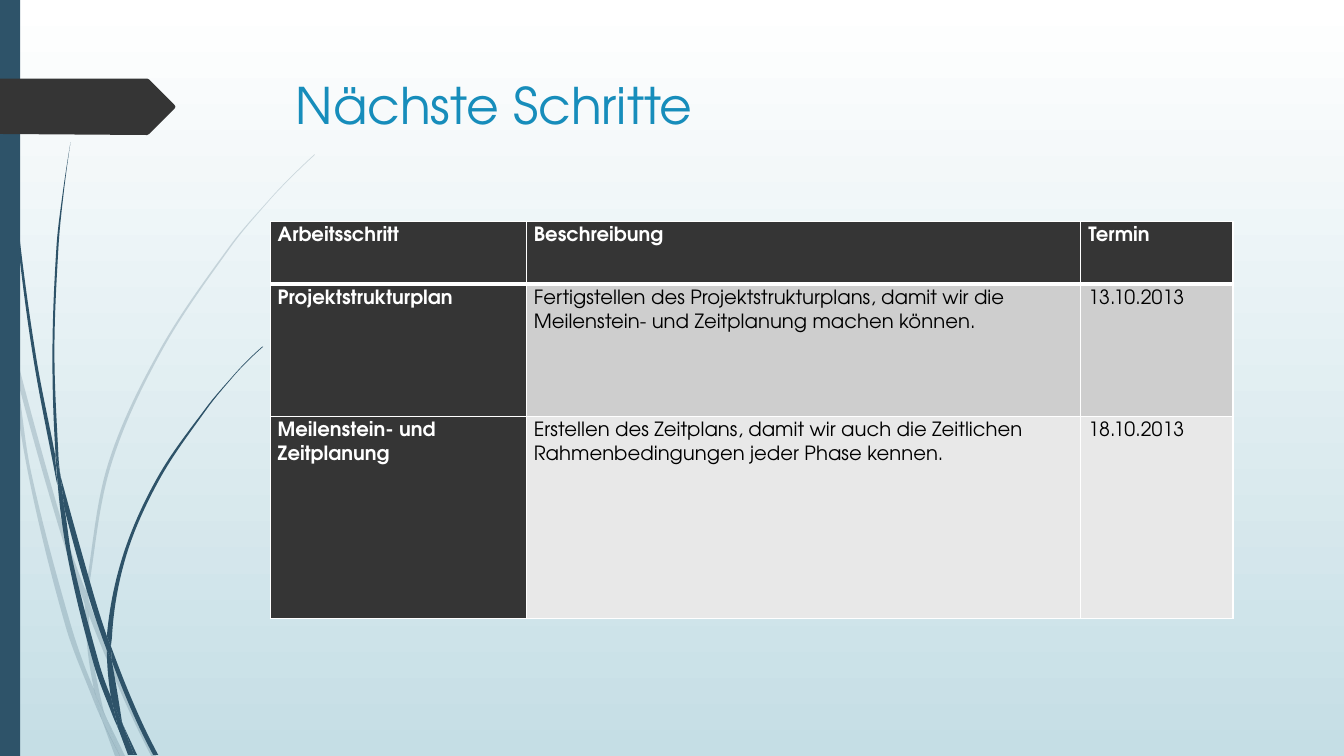
from math import hypot

from lxml.etree import SubElement
from pptx import Presentation
from pptx.dml.color import RGBColor as Rgb
from pptx.enum.shapes import MSO_SHAPE as Shape
from pptx.enum.text import MSO_ANCHOR as Anchor
from pptx.oxml import parse_xml
from pptx.oxml.ns import nsdecls, qn
from pptx.util import Inches, Pt

FONT = "TeX Gyre Adventor"
WHITE = Rgb(0xFF, 0xFF, 0xFF)
BLACK = Rgb(0, 0, 0)
MIST = Rgb(0xC5, 0xDE, 0xE5)
NAVY = Rgb(0x2E, 0x53, 0x69)
DARK = Rgb(0x35, 0x35, 0x35)
BLUE = Rgb(0x17, 0x8D, 0xBB)
GREY = Rgb(0xCE, 0xCE, 0xCE)
PALE = Rgb(0xE8, 0xE8, 0xE8)

PALE_FAN = [
    ([(0.11, 3.5), (0.09, 3.22), (0, 2.82)], [(0, 2.99), (0.1, 3.44)]),
    ([(0.17, 3.76), (0.58, 5.22), (0.84, 5.99)],
     [(0.85, 5.86), (0.62, 5.2), (0.14, 3.45)]),
    ([(0.88, 5.96), (0.88, 6.1)], [(0.88, 6.1), (1.23, 6.94), (1.5, 7.5)],
     [(1.55, 7.5), (1.27, 6.92), (0.92, 6.07)]),
    ([(1.05, 7.11), (1.19, 7.5)], [(1.24, 7.5)]),
    ([(0.93, 6.83), (0.7, 6.19), (0.31, 4.69), (0.17, 3.76), (0.11, 3.5)],
     [(0.11, 3.5), (0.28, 4.7), (0.65, 6.21), (0.92, 6.93), (1.01, 7.14)],
     [(0.99, 7.07)]),
    ([(0.84, 5.99), (0.87, 6.46), (0.93, 6.83), (0.96, 6.92), (1.05, 7.11)],
     [(1.03, 7.06), (0.91, 6.46), (0.88, 6.1), (0.88, 6.08)]),
    ([(0.88, 5.96), (0.88, 5.84), (1.1, 4.62), (1.6, 3.49), (2.29, 2.45),
      (2.68, 1.98), (2.9, 1.75), (3.12, 1.54)],
     [(3.12, 1.53), (2.89, 1.75), (2.68, 1.97), (2.28, 2.44), (1.58, 3.48),
      (1.07, 4.61), (0.85, 5.84), (0.85, 5.86)]),
    ([(1.01, 7.14), (1.14, 7.5)], [(1.19, 7.5)]),
    ([(0.88, 6.08), (0.88, 6.1)], [(0.88, 5.96)], [(0.85, 5.86)],
     [(0.84, 5.99)]),
    ([(0.96, 6.92), (0.93, 6.83)], [(0.99, 7.07), (1.01, 7.14), (1.19, 7.5)],
     [(1.05, 7.11)]),
]
DARK_FAN = [
    ([(0.03, 0), (0.04, 0.48), (0.07, 1.1), (0.17, 2.33), (0.33, 3.55),
      (0.56, 4.77), (0.57, 4.81)],
     [(0.55, 4.57), (0.55, 4.53), (0.36, 3.55), (0.19, 2.32), (0.08, 1.09),
      (0.05, 0.48), (0.04, 0)]),
    ([(0.64, 5.05), (0.88, 5.92), (1.06, 6.45)],
     [(1.06, 6.33), (1.06, 6.31)],
     [(1.06, 6.31), (0.93, 5.9), (0.6, 4.72)]),
    ([(1.1, 6.41), (1.11, 6.56)], [(1.11, 6.56), (1.32, 7.08), (1.52, 7.49)],
     [(1.57, 7.49), (1.36, 7.06), (1.13, 6.49)]),
    ([(1.1, 6.91), (0.98, 6.57), (0.72, 5.56), (0.64, 5.05), (0.57, 4.77)],
     [(0.57, 4.77), (0.68, 5.57), (0.93, 6.59), (1.11, 7.08), (1.17, 7.22)],
     [(1.16, 7.17)]),
    ([(0.6, 4.72), (0.58, 4.53), (0.54, 3.49), (0.58, 2.45), (0.63, 1.93),
      (0.7, 1.41)],
     [(0.7, 1.41), (0.62, 1.93), (0.56, 2.45), (0.52, 3.49), (0.55, 4.49)]),
    ([(1.22, 7.19), (1.33, 7.49)], [(1.36, 7.49)]),
    ([(0.57, 4.77), (0.64, 5.05)], [(0.6, 4.72), (0.55, 4.49)],
     [(0.55, 4.53)]),
    ([(1.11, 6.33), (1.25, 5.52), (1.58, 4.76), (2.05, 4.06), (2.31, 3.74),
      (2.45, 3.59), (2.61, 3.44)],
     [(2.6, 3.44), (2.45, 3.58), (2.31, 3.73), (2.04, 4.05), (1.56, 4.74),
      (1.22, 5.51), (1.06, 6.31)], [(1.1, 6.41)]),
    ([(1.17, 7.22), (1.27, 7.49)], [(1.31, 7.49)]),
    ([(1.06, 6.45), (1.1, 6.91), (1.16, 7.06), (1.22, 7.19)],
     [(1.21, 7.16), (1.11, 6.56), (1.09, 6.51)]),
    ([(1.06, 6.45), (1.09, 6.51), (1.11, 6.56)],
     [(1.1, 6.41), (1.06, 6.31)], [(1.06, 6.33)]),
    ([(1.16, 7.06), (1.1, 6.91)], [(1.16, 7.17), (1.17, 7.22), (1.3, 7.49)],
     [(1.33, 7.49), (1.22, 7.19)]),
]
ARROW = [(1.74, 0.28), (1.73, 0.3), (1.48, 0.55), (1.46, 0.56), (0, 0.55),
         (0, 0), (1.46, 0), (1.48, 0.01), (1.73, 0.26)]
ROWS = [
    ("Arbeitsschritt", "Beschreibung", "Termin"),
    ("Projektstrukturplan",
     "Fertigstellen des Projektstrukturplans, damit wir die "
     "Meilenstein- und Zeitplanung machen können.", "13.10.2013"),
    ("Meilenstein- und Zeitplanung",
     "Erstellen des Zeitplans, damit wir auch die Zeitlichen "
     "Rahmenbedingungen jeder Phase kennen.", "18.10.2013"),
]
WIDTHS = 2.54, 5.5, 1.51
HEIGHTS = 0.62, 1.31, 2.01
FILLS = DARK, GREY, PALE


def unit(a, b):
    """Return the direction from a to b."""
    size = hypot(b[0] - a[0], b[1] - a[1]) or 1
    return (b[0] - a[0]) / size, (b[1] - a[1]) / size


def mirror(way, chord):
    """Reflect a direction about a chord."""
    dot = 2 * (way[0] * chord[0] + way[1] * chord[1])
    return dot * chord[0] - way[0], dot * chord[1] - way[1]


def bends(knots):
    """Return the two curve handles of each span, as offsets."""
    if len(knots) < 2:
        return []
    ways = [unit(a, b) for a, b in zip(knots, knots[2:])]
    first, last = unit(*knots[:2]), unit(*knots[-2:])
    if ways:
        first, last = mirror(ways[0], first), mirror(ways[-1], last)
    ways = [first, *ways, last]
    arms = [hypot(b[0] - a[0], b[1] - a[1]) / 3
            for a, b in zip(knots, knots[1:])]
    return [((arm * u[0], arm * u[1]), (-arm * v[0], -arm * v[1]))
            for arm, u, v in zip(arms, ways, ways[1:])]


def curve(shape, spans):
    """Turn the straight spans of an outline into curves."""
    lines = shape._element.findall(".//" + qn("a:lnTo"))
    prior = shape._element.find(".//" + qn("a:moveTo"))[0]
    for line, span in zip(lines, spans):
        end = line[0]
        if span:
            bend = parse_xml(f'<a:cubicBezTo {nsdecls("a")}/>')
            for base, shift in zip((prior, end), span):
                knob = SubElement(bend, qn("a:pt"))
                for axis, gap in zip("xy", shift):
                    knob.set(axis, str(int(base.get(axis)) + Inches(gap)))
            line.getparent().replace(line, bend)
            bend.append(end)
        prior = end


def paint(shape, color):
    """Give a shape a flat fill without line or shadow."""
    shape.shadow.inherit = False
    shape.fill.solid()
    shape.fill.fore_color.rgb = color
    shape.line.fill.background()


def outline(shapes, box, points, color):
    """Draw a closed outline whose points count from the box corner."""
    spots = [(Inches(box[0] + x), Inches(box[1] + y)) for x, y in points]
    pen = shapes.build_freeform(*spots[0], scale=1.0)
    pen.add_line_segments(spots[1:], close=True)
    shape = pen.convert_to_shape()
    paint(shape, color)
    return shape


def add_fan(slide, box, blades, alpha=100):
    """Draw a group of curved grass blades."""
    group = slide.shapes.add_group_shape()
    for edges in blades:
        points, spans = [], []
        for edge in edges:
            joined = points and points[-1] == edge[0]
            if points and not joined:
                spans.append(None)
            points += edge[1:] if joined else edge
            spans += bends(edge)
        blade = outline(group.shapes, box, points, NAVY)
        curve(blade, spans)
        if alpha < 100:
            tint = blade._element.spPr.find(".//" + qn("a:srgbClr"))
            SubElement(tint, qn("a:alpha")).set("val", str(alpha * 1000))


def add_side(slide, box):
    """Draw the grass, the side bar and the arrow tab."""
    add_fan(slide, box, PALE_FAN, 20)
    add_fan(slide, box, DARK_FAN)
    paint(slide.shapes.add_shape(Shape.RECTANGLE, *map(Inches, box)), NAVY)
    outline(slide.shapes, (box[0], box[1] + 0.78), ARROW, DARK)


def style(frame, size, color, bold=False):
    """Format the text of a frame."""
    frame.word_wrap = True
    font = frame.paragraphs[0].runs[0].font
    font.name, font.size, font.bold = FONT, Pt(size), bold
    font.color.rgb = color


def add_title(slide, box):
    """Write the slide title."""
    frame = slide.shapes.add_textbox(*map(Inches, box)).text_frame
    frame.text = "Nächste Schritte"
    style(frame, 36, BLUE)


def add_rules(cell, row):
    """Draw white cell borders, thick below the header."""
    thick = {0: "B", 1: "T"}.get(row)
    for spot, side in enumerate("LRTB"):
        width = Pt(3 if side == thick else 1)
        rule = parse_xml(
            f'<a:ln{side} {nsdecls("a")} w="{width}"><a:solidFill>'
            f'<a:srgbClr val="{WHITE}"/></a:solidFill></a:ln{side}>')
        cell._tc.get_or_add_tcPr().insert(spot, rule)


def add_plan(slide, box):
    """Build the table of next steps."""
    table = slide.shapes.add_table(3, 3, *map(Inches, box)).table
    for col, width in zip(table.columns, WIDTHS):
        col.width = Inches(width)
    for r, (texts, height) in enumerate(zip(ROWS, HEIGHTS)):
        table.rows[r].height = Inches(height)
        for c, text in enumerate(texts):
            cell = table.cell(r, c)
            head = r == 0 or c == 0
            cell.text_frame.text = text
            style(cell.text_frame, 14, WHITE if head else BLACK, head)
            para = cell.text_frame.paragraphs[0]
            para.line_spacing = Pt(17)
            para.space_before = para.space_after = Pt(6)
            cell.margin_left = cell.margin_right = Pt(5.4)
            cell.margin_top = cell.margin_bottom = 0
            cell.vertical_anchor = Anchor.TOP
            cell.fill.solid()
            cell.fill.fore_color.rgb = DARK if head else FILLS[r]
            add_rules(cell, r)


def add_back(slide):
    """Fill the background from white down to mist."""
    fill = slide.background.fill
    fill.gradient()
    fill.gradient_angle = 270
    for stop, color in zip(fill.gradient_stops, (WHITE, MIST)):
        stop.color.rgb = color


deck = Presentation()
deck.slide_width, deck.slide_height = Inches(13.33), Inches(7.5)
page = deck.slides.add_slide(deck.slide_layouts[6])
add_back(page)
add_side(page, (0, 0, 0.2, 7.5))
add_title(page, (2.83, 0.69, 9.75, 1.4))
add_plan(page, (2.68, 2.2, 9.55, 3.94))
deck.save("out.pptx")
